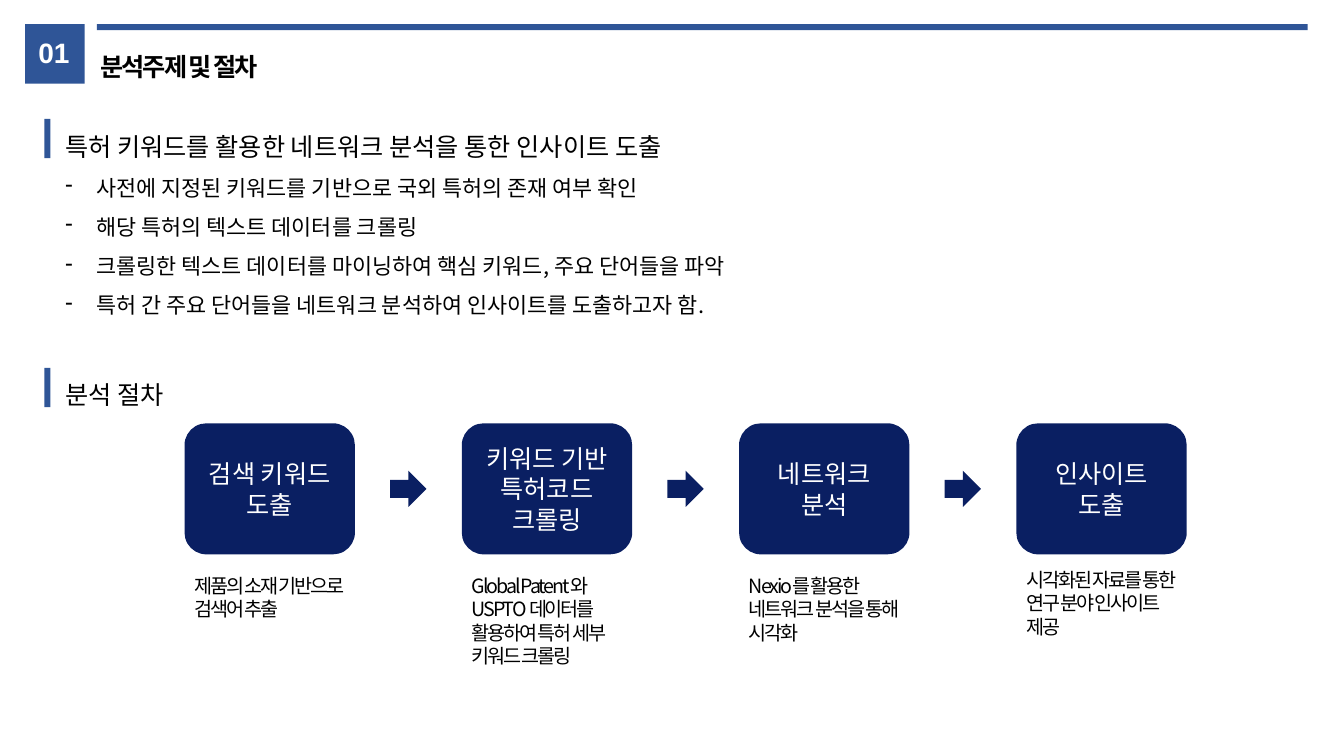
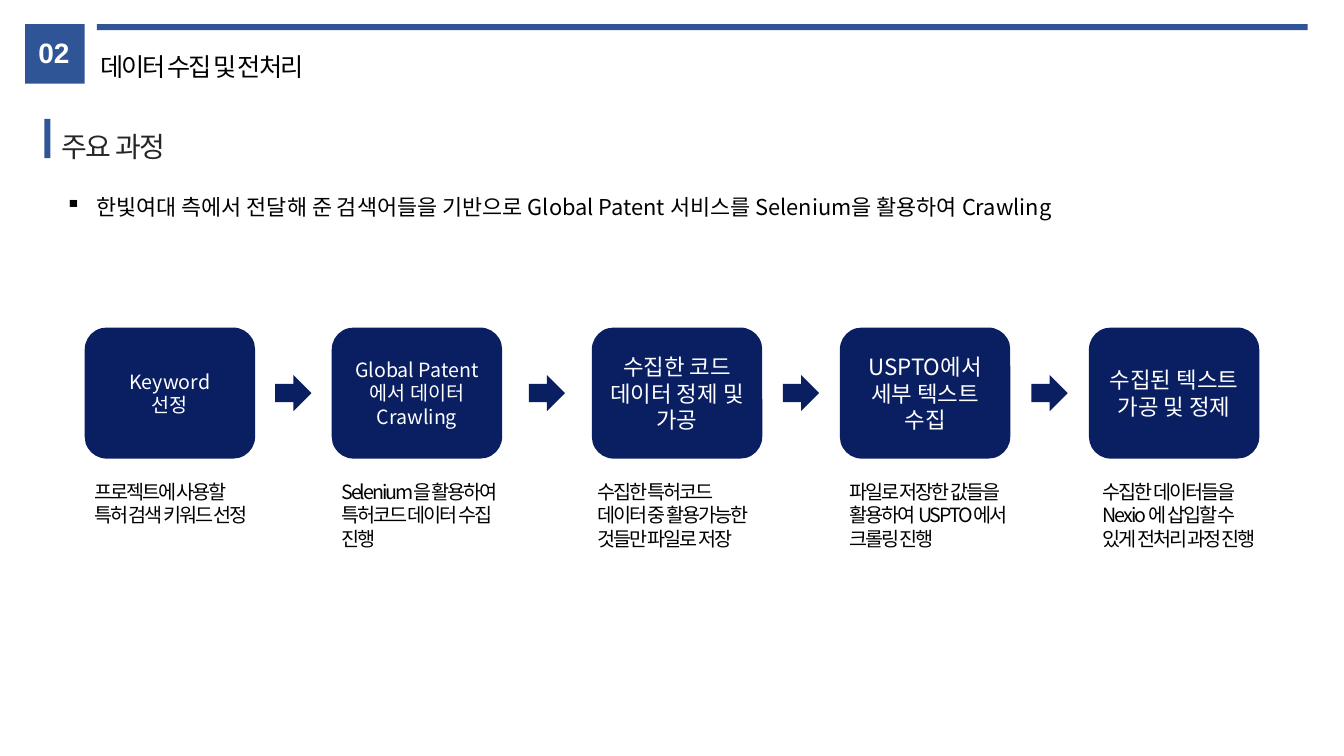
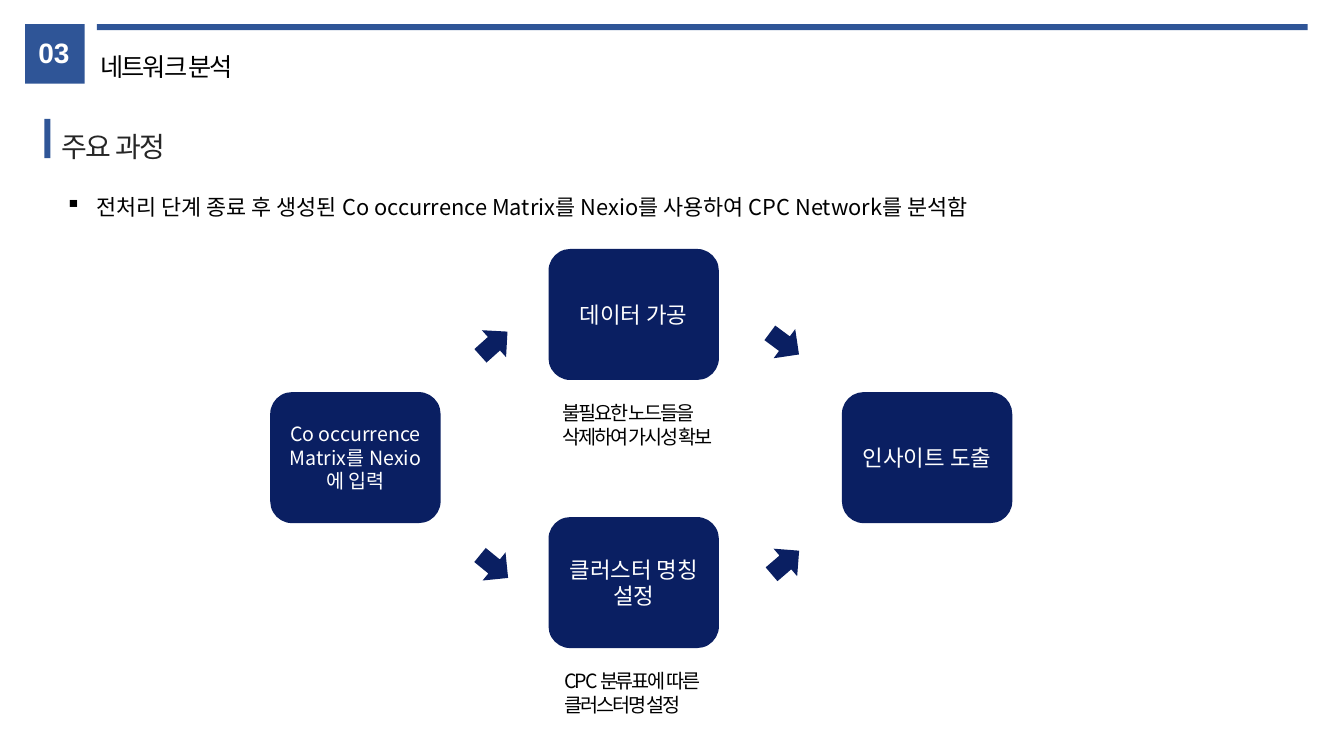
"""Build three slides on a patent keyword network analysis."""
from dataclasses import dataclass, field
from itertools import pairwise
from typing import Any, Sequence

import pptx
import pptx.dml.color
import pptx.enum.shapes
import pptx.enum.text
import pptx.oxml.ns
import pptx.util
from lxml import etree

Inches = pptx.util.Inches
Preset = pptx.enum.shapes.MSO_SHAPE
Align = pptx.enum.text.PP_ALIGN
Anchor = pptx.enum.text.MSO_ANCHOR
AutoSize = pptx.enum.text.MSO_AUTO_SIZE


@dataclass(frozen=True)
class TextStyle:
    size: float
    color: str = "000000"
    font: str = "Noto Sans CJK KR"
    bold: bool = False
    tracking: float = 0
    align: Any = Align.LEFT
    line_spacing: float = 1.0
    bullet: str = ""


@dataclass(frozen=True)
class Theme:
    accent: str = "2F5597"
    navy: str = "0A1F62"
    title_bold: TextStyle = TextStyle(18, bold=True, tracking=-1.5)
    title: TextStyle = TextStyle(18, tracking=-1.5)
    number: TextStyle = TextStyle(20, "FFFFFF", "Arial", True, align=Align.CENTER)
    topic: TextStyle = TextStyle(18, line_spacing=1.5)
    process: TextStyle = TextStyle(20, "262626", tracking=-1, line_spacing=1.5)
    dash: TextStyle = TextStyle(15.6, line_spacing=1.5, bullet="-")
    square: TextStyle = TextStyle(15.6, line_spacing=1.3, bullet="▪")
    caption: TextStyle = TextStyle(14, tracking=-1.5)
    step_large: TextStyle = TextStyle(18, "FFFFFF", align=Align.CENTER)
    step_medium: TextStyle = TextStyle(16, "FFFFFF", align=Align.CENTER)
    step_small: TextStyle = TextStyle(14, "FFFFFF", align=Align.CENTER)


THEME = Theme()
STEP_WIDTH, STEP_HEIGHT = 1.69, 1.3
ARROW_SIZE = 0.36
BULLET_INDENT = 0.31


@dataclass(frozen=True)
class Line:
    text: str
    style: TextStyle


@dataclass(frozen=True)
class Step:
    left: float
    top: float
    label: str
    style: TextStyle
    caption: str = ""
    caption_dx: float = 0
    caption_dy: float = 1.46
    caption_width: float = 1.77


@dataclass(frozen=True)
class Arrow:
    left: float
    top: float
    rotation: float = 0


@dataclass(frozen=True)
class Section:
    number: str
    title: str
    title_style: TextStyle
    steps: Sequence[Step]
    arrows: Sequence[Arrow] = field(default_factory=tuple)


def lines(text: str, style: TextStyle) -> list[Line]:
    """Give every line of the text the same style."""
    return [Line(part, style) for part in text.split("\n")]


def add_bullet(paragraph: Any, mark: str) -> None:
    """Give a paragraph a hanging bullet."""
    properties = paragraph._p.get_or_add_pPr()
    properties.set("marL", str(Inches(BULLET_INDENT)))
    properties.set("indent", str(-Inches(BULLET_INDENT)))
    etree.SubElement(properties, pptx.oxml.ns.qn("a:buChar")).set("char", mark)


def style_run(run: Any, style: TextStyle) -> None:
    """Apply font, size, colour and tracking to a run."""
    run.font.size = pptx.util.Pt(style.size)
    run.font.bold = style.bold
    run.font.color.rgb = pptx.dml.color.RGBColor.from_string(style.color)
    run.font.name = style.font
    properties = run._r.get_or_add_rPr()
    etree.SubElement(properties, pptx.oxml.ns.qn("a:ea")).set("typeface", style.font)
    if style.tracking:
        properties.set("spc", str(int(style.tracking * 100)))


def write(frame: Any, content: Sequence[Line]) -> None:
    """Fill a text frame with styled paragraphs."""
    frame.text = "\n".join(line.text for line in content)
    frame.word_wrap = True
    for paragraph, line in zip(frame.paragraphs, content):
        paragraph.alignment = line.style.align
        paragraph.line_spacing = line.style.line_spacing
        if line.style.bullet:
            add_bullet(paragraph, line.style.bullet)
        for run in paragraph.runs:
            style_run(run, line.style)


def add_text(slide: Any, left: float, top: float, width: float, height: float,
             content: Sequence[Line]) -> None:
    """Add a wrapped text box."""
    box = slide.shapes.add_textbox(Inches(left), Inches(top), Inches(width), Inches(height))
    write(box.text_frame, content)


def add_block(slide: Any, preset: Any, left: float, top: float, width: float,
              height: float, color: str) -> Any:
    """Add a flat, unlined shape."""
    block = slide.shapes.add_shape(
        preset, Inches(left), Inches(top), Inches(width), Inches(height))
    block.shadow.inherit = False
    block.fill.solid()
    block.fill.fore_color.rgb = pptx.dml.color.RGBColor.from_string(color)
    block.line.fill.background()
    return block


def add_marker(slide: Any, top: float) -> None:
    """Add the upright bar beside a heading."""
    add_block(slide, Preset.RECTANGLE, 0.44, top, 0.06, 0.39, THEME.accent)


def add_step(slide: Any, step: Step) -> None:
    """Add a process step and its caption."""
    block = add_block(slide, Preset.ROUNDED_RECTANGLE, step.left, step.top,
                      STEP_WIDTH, STEP_HEIGHT, THEME.navy)
    block.text_frame.vertical_anchor = Anchor.MIDDLE
    write(block.text_frame, lines(step.label, step.style))
    if step.caption:
        add_text(slide, step.left + step.caption_dx, step.top + step.caption_dy,
                 step.caption_width, 0.81, lines(step.caption, THEME.caption))


def add_arrow(slide: Any, arrow: Arrow) -> None:
    """Add a block arrow between steps."""
    block = add_block(slide, Preset.RIGHT_ARROW, arrow.left, arrow.top,
                      ARROW_SIZE, ARROW_SIZE, THEME.navy)
    block.rotation = arrow.rotation


def arrows_between(steps: Sequence[Step]) -> list[Arrow]:
    """Centre an arrow in each gap of a row of steps."""
    return [Arrow((before.left + STEP_WIDTH + after.left - ARROW_SIZE) / 2,
                  before.top + (STEP_HEIGHT - ARROW_SIZE) / 2)
            for before, after in pairwise(steps)]


def add_section(deck: Any, section: Section) -> Any:
    """Add a slide with its header, first marker, steps and arrows."""
    slide = deck.slides.add_slide(deck.slide_layouts[5])
    title = slide.shapes.title
    title.left, title.top = Inches(0.9), Inches(0.46)
    title.width, title.height = Inches(3.87), Inches(0.4)
    title.text_frame.auto_size = AutoSize.NONE
    title.text_frame.vertical_anchor = Anchor.TOP
    write(title.text_frame, lines(section.title, section.title_style))
    add_block(slide, Preset.RECTANGLE, 0.96, 0.24, 12.01, 0.06, THEME.accent)
    add_block(slide, Preset.RECTANGLE, 0.25, 0.24, 0.59, 0.59, THEME.accent)
    add_text(slide, 0.18, 0.3, 0.71, 0.44, lines(section.number, THEME.number))
    add_marker(slide, 1.18)
    for step in section.steps:
        add_step(slide, step)
    for arrow in section.arrows or arrows_between(section.steps):
        add_arrow(slide, arrow)
    return slide


def add_process_heading(slide: Any, summary: str) -> None:
    """Add the process heading and its one-line summary."""
    add_text(slide, 0.51, 1.07, 7.77, 0.56, lines("주요 과정", THEME.process))
    add_text(slide, 0.55, 1.79, 12.32, 0.42, lines(summary, THEME.square))


def build_topic(deck: Any) -> None:
    """Build the slide on the topic and procedure."""
    stages = (
        ("검색 키워드 도출", "제품의 소재 기반으로 검색어 추출", 1.44),
        ("키워드 기반 특허코드\n크롤링",
         "Global Patent와 USPTO 데이터를 활용하여 특허 세부 키워드 크롤링", 1.44),
        ("네트워크\n분석", "Nexio를 활용한 네트워크 분석을 통해 시각화", 1.44),
        ("인사이트 도출", "시각화된 자료를 통한 연구 분야 인사이트 제공", 1.38),
    )
    steps = [Step(1.83 + 2.75 * index, 4.2, label, THEME.step_large, caption,
                  caption_dy=drop, caption_width=STEP_WIDTH)
             for index, (label, caption, drop) in enumerate(stages)]
    slide = add_section(deck, Section("01", "분석주제 및 절차", THEME.title_bold, steps))
    goals = (
        "사전에 지정된 키워드를 기반으로 국외 특허의 존재 여부 확인\n"
        "해당 특허의 텍스트 데이터를 크롤링\n"
        "크롤링한 텍스트 데이터를 마이닝하여 핵심 키워드, 주요 단어들을 파악\n"
        "특허 간 주요 단어들을 네트워크 분석하여 인사이트를 도출하고자 함."
    )
    topic = Line("특허 키워드를 활용한 네트워크 분석을 통한 인사이트 도출", THEME.topic)
    add_text(slide, 0.55, 1.1, 12.63, 2.09, [topic, *lines(goals, THEME.dash)])
    add_marker(slide, 3.65)
    add_text(slide, 0.55, 3.56, 6.69, 0.51, lines("분석 절차", THEME.topic))


def build_collection(deck: Any) -> None:
    """Build the slide on data collection and preparation."""
    top = 3.25
    steps = (
        Step(0.84, top, "Keyword\n선정", THEME.step_small,
             "프로젝트에 사용할\n특허 검색 키워드 선정"),
        Step(3.29, top, "Global Patent에서 데이터 Crawling", THEME.step_small,
             "Selenium을 활용하여 특허코드 데이터 수집 진행"),
        Step(5.87, top, "수집한 코드\n데이터 정제 및 가공", THEME.step_medium,
             "수집한 특허코드 데이터 중 활용가능한 것들만 파일로 저장", -0.04),
        Step(8.33, top, "USPTO에서 세부 텍스트\n수집", THEME.step_medium,
             "파일로 저장한 값들을 활용하여 USPTO에서 크롤링 진행"),
        Step(10.8, top, "수집된 텍스트 가공 및 정제", THEME.step_medium,
             "수집한 데이터들을 Nexio 에 삽입할 수 있게 전처리 과정 진행", 0.04),
    )
    slide = add_section(deck, Section("02", "데이터 수집 및 전처리", THEME.title, steps))
    add_process_heading(
        slide, "한빛여대 측에서 전달해 준 검색어들을 기반으로 Global Patent 서비스를 "
               "Selenium을 활용하여 Crawling")


def build_network(deck: Any) -> None:
    """Build the slide on network analysis."""
    steps = (
        Step(2.68, 3.89, "Co occurrence Matrix를 Nexio에 입력", THEME.step_small),
        Step(5.44, 2.47, "데이터 가공", THEME.step_medium,
             "불필요한 노드들을\n삭제하여 가시성 확보", 0.04),
        Step(5.44, 5.13, "클러스터 명칭 설정", THEME.step_medium,
             "CPC 분류표에 따른\n클러스터명 설정", 0.06),
        Step(8.35, 3.89, "인사이트 도출", THEME.step_medium),
    )
    arrows = (Arrow(4.72, 5.44, 39.2), Arrow(4.72, 3.23, 318.1),
              Arrow(7.6, 3.23, 36.5), Arrow(7.61, 5.4, 319.4))
    slide = add_section(deck, Section("03", "네트워크 분석", THEME.title, steps, arrows))
    add_process_heading(
        slide, "전처리 단계 종료 후 생성된 Co occurrence Matrix를 Nexio를 사용하여 "
               "CPC Network를 분석함")


def main() -> None:
    """Build and save the deck."""
    deck = pptx.Presentation()
    deck.slide_width, deck.slide_height = Inches(13.33), Inches(7.5)
    for build in (build_topic, build_collection, build_network):
        build(deck)
    deck.save("out.pptx")


if __name__ == "__main__":
    main()
